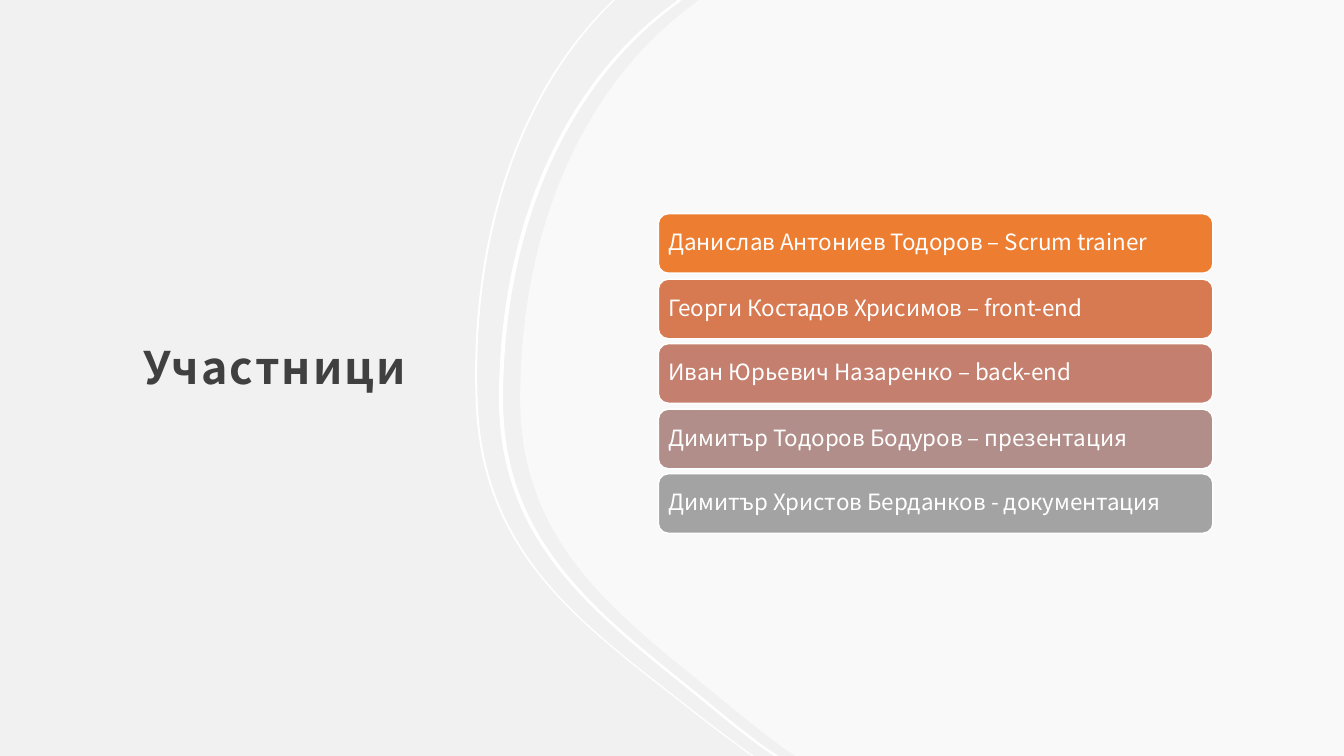
"""Build the slide that lists the project participants and their roles."""
from lxml.etree import SubElement
from pptx import Presentation
from pptx.dml.color import RGBColor
from pptx.enum.shapes import MSO_SHAPE
from pptx.enum.text import MSO_ANCHOR, PP_ALIGN
from pptx.oxml.ns import qn
from pptx.util import Pt

PX = 9144
WIDTH, HEIGHT = 1333, 750

THEME = {
    "font": "Noto Sans CJK JP",
    "background": "F2F1F1",
    "white": "FFFFFF",
    "title": "404040",
    "bars": ["ED7D31", "D77951", "C47F6E", "B28E8A", "A3A3A3"],
    "title_size": 32,
    "bar_size": 16,
}

PARTICIPANTS = [
    "Данислав Антониев Тодоров – Scrum trainer",
    "Георги Костадов Хрисимов – front-end",
    "Иван Юрьевич Назаренко – back-end",
    "Димитър Тодоров Бодуров – презентация",
    "Димитър Христов Берданков - документация",
]

EDGE_STEPS = "LCCCL"
THIN_EDGE = [
    (608, 0), (605, 3),
    (512, 94), (465, 240), (472, 402),
    (479, 555), (582, 623), (687, 706),
    (706, 721), (725, 735), (744, 749),
    (746, 750),
]
WIDE_EDGE = [
    (672, 0), (670, 2),
    (557, 83), (495, 229), (495, 396),
    (495, 543), (596, 613), (699, 697),
    (718, 713), (737, 728), (756, 742),
    (768, 750),
]


def shifted(edge, distance):
    return [(x + distance, y) for x, y in edge]


def write(box, text, size, color, insets, line_spacing, bold=False):
    frame = box.text_frame
    frame.text = text
    para = frame.paragraphs[0]
    span = para.runs[0]
    span.font.color.rgb = RGBColor.from_string(color)
    left, top, right, bottom = (inset * PX for inset in insets)
    formats = [
        (frame, {"word_wrap": True, "vertical_anchor": MSO_ANCHOR.MIDDLE, "margin_left": left,
                 "margin_top": top, "margin_right": right, "margin_bottom": bottom}),
        (para, {"alignment": PP_ALIGN.LEFT, "line_spacing": line_spacing}),
        (span.font, {"name": THEME["font"], "size": Pt(size), "bold": bold}),
    ]
    for target, values in formats:
        for name, value in values.items():
            setattr(target, name, value)
    return span


deck = Presentation()
deck.slide_width, deck.slide_height = WIDTH * PX, HEIGHT * PX
page = deck.slides.add_slide(deck.slide_layouts[6])
page.background.fill.solid()
page.background.fill.fore_color.rgb = RGBColor.from_string(THEME["background"])
white = RGBColor.from_string(THEME["white"])

title = page.shapes.add_textbox(*(length * PX for length in (130, 121, 330, 468)))
title_span = write(title, "Участници", THEME["title_size"], THEME["title"], (12, 12, 12, 10), 1.3, bold=True)
title_span.font._element.set("spc", "150")

panel_corners = [(WIDTH, HEIGHT), (WIDTH, 0)]
band_steps = EDGE_STEPS + "L" + EDGE_STEPS
outlines = [
    (shifted(WIDE_EDGE, 21) + panel_corners, EDGE_STEPS + "LL", 60),
    (THIN_EDGE + shifted(THIN_EDGE, 2)[::-1], band_steps, 100),
    (WIDE_EDGE + shifted(WIDE_EDGE, 4)[::-1], band_steps, 100),
]
for points, steps, opacity in outlines:
    builder = page.shapes.build_freeform(*points[0], scale=PX)
    builder.add_line_segments(points[1:], close=True)
    sweep = builder.convert_to_shape()
    segments = iter(list(sweep._element.iter(qn("a:lnTo"))))
    for step in steps:
        segment = next(segments)
        if step == "C":
            segment.tag = qn("a:cubicBezTo")
            for following in (next(segments), next(segments)):
                segment.append(following[0])
                following.getparent().remove(following)
    sweep.shadow.inherit = False
    sweep.line.fill.background()
    sweep.fill.solid()
    sweep.fill.fore_color.rgb = white
    if opacity < 100:
        color_node = sweep._element.spPr.find(qn("a:solidFill"))[0]
        SubElement(color_node, qn("a:alpha")).set("val", str(opacity * 1000))

for index, (participant, color) in enumerate(zip(PARTICIPANTS, THEME["bars"])):
    top = 212 + (129 * index + 1) // 2
    bar = page.shapes.add_shape(
        MSO_SHAPE.ROUNDED_RECTANGLE, *(length * PX for length in (653, top, 550, 59)))
    bar.shadow.inherit = False
    bar.fill.solid()
    bar.fill.fore_color.rgb = RGBColor.from_string(color)
    bar.line.color.rgb = white
    bar.line.width = Pt(1)
    write(bar, participant, THEME["bar_size"], THEME["white"], (7, 7, 7, 7), 0.9)

deck.save("out.pptx")
